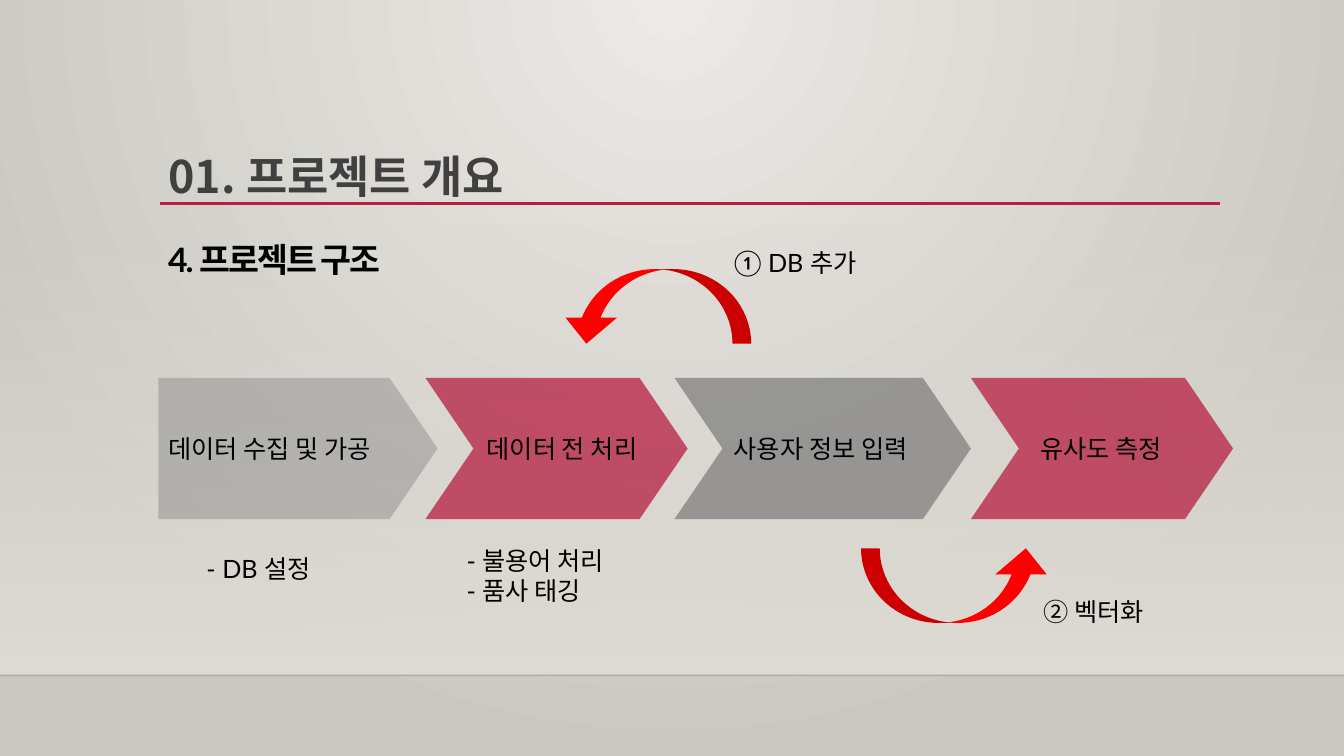
from lxml import etree
from pptx import Presentation
from pptx.dml.color import RGBColor
from pptx.enum import shapes, text
from pptx.oxml.ns import qn
from pptx.util import Pt

PX = 9144  # 100 px to the inch
BLACK, GREY, RED, CRIMSON = "000000", "808080", "FF0000", "B71E42"


def paint(color, value, element=None, opacity=100):
    """Set a colour; opacity (percent) goes to the first colour in element."""
    color.rgb = RGBColor.from_string(value)
    if opacity < 100:
        first = element.find(".//" + qn("a:srgbClr"))
        etree.SubElement(first, qn("a:alpha"), val=str(opacity * 1000))


def write(paragraph, content, size=18, font="Lato", color=BLACK, bold=False, spacing=0):
    run = paragraph.add_run()
    run.text = content
    run.font.size, run.font.name, run.font.bold = Pt(size), font, bold
    paint(run.font.color, color)
    properties = run.font._element
    etree.SubElement(properties, qn("a:ea"), typeface="Noto Sans CJK KR")
    if spacing:
        properties.set("spc", str(spacing))


presentation = Presentation()
presentation.slide_width, presentation.slide_height = 1333 * PX, 750 * PX
slide = presentation.slides.add_slide(presentation.slide_layouts[5])

# Background: light circle at the top centre
background = slide.background.fill
background.gradient()
for stop, position, color in zip(background.gradient_stops, (0, 1), ("ECEAE7", "CAC7C1")):
    stop.position = position
    paint(stop.color, color)
linear = slide._element.find(".//" + qn("p:bg") + "//" + qn("a:lin"))
circle = etree.Element(qn("a:path"), path="circle")
etree.SubElement(circle, qn("a:fillToRect"), l="43000", t="0", r="43000", b="100000")
linear.getparent().replace(linear, circle)

wall = slide.shapes.add_shape(shapes.MSO_SHAPE.RECTANGLE, 0, 221 * PX, 1333 * PX, 449 * PX)
wall.shadow.inherit = False
wall.line.fill.background()
wall.fill.gradient()
wall.fill.gradient_angle = 270
for stop, position, opacity in zip(wall.fill.gradient_stops, (0, 1), (0, 100)):
    stop.position = position
    paint(stop.color, "DFDBD5", wall._element, opacity)

for left, right, y, color, width, opacity in (
    (0, 1333, 670, "000001", 1, 20),
    (159, 1210, 202, CRIMSON, 2.5, 100),
):
    rule = slide.shapes.add_connector(
        shapes.MSO_CONNECTOR.STRAIGHT, left * PX, y * PX, right * PX, y * PX)
    rule.line.width = Pt(width)
    paint(rule.line.color, color, rule._element, opacity)
    etree.SubElement(rule._element.spPr, qn("a:effectLst"))

title = slide.shapes.title
title.left, title.top, title.width, title.height = 157 * PX, 148 * PX, 402 * PX, 54 * PX
frame = title.text_frame
frame.margin_top = frame.margin_bottom = 0
frame.vertical_anchor = text.MSO_ANCHOR.TOP
frame.auto_size = text.MSO_AUTO_SIZE.SHAPE_TO_FIT_TEXT
heading = frame.paragraphs[0]
heading.alignment = text.PP_ALIGN.LEFT
for content, font in (("01. ", "Noto Sans CJK KR"), ("프로젝트 개요", "Cabin")):
    write(heading, content, size=32, font=font, color="404040", bold=True)
slide.shapes._spTree.append(title._element)  # in front of the wall

# Process steps
PENTAGON, CHEVRON = shapes.MSO_SHAPE.PENTAGON, shapes.MSO_SHAPE.CHEVRON
for kind, left, width, color, opacity in (
    (PENTAGON, 157, 277, "8F8F8F", 50),
    (CHEVRON, 422, 260, CRIMSON, 75),
    (CHEVRON, 669, 294, GREY, 75),
    (CHEVRON, 963, 260, CRIMSON, 75),
):
    step = slide.shapes.add_shape(kind, left * PX, 375 * PX, width * PX, 140 * PX)
    step.adjustments[0] = 0.34
    step.shadow.inherit = False
    step.line.fill.background()
    step.fill.solid()
    paint(step.fill.fore_color, color, step._element, opacity)

for left, top, rotation in ((556, 267, 180), (854, 544, 0)):
    arrow = slide.shapes.add_shape(
        shapes.MSO_SHAPE.CURVED_UP_ARROW, left * PX, top * PX, 189 * PX, 74 * PX)
    for index, value in enumerate((0.25, 0.69, 0.35)):
        arrow.adjustments[index] = value
    arrow.rotation = rotation
    arrow.shadow.inherit = False
    arrow.line.fill.background()
    arrow.fill.solid()
    paint(arrow.fill.fore_color, RED)

subtitle = dict(size=24, bold=True, spacing=-150)
for left, top, width, height, lines, style in (
    (157, 232, 917, 50, ["4. 프로젝트 구조"], subtitle),
    (157, 425, 326, 40, ["데이터 수집 및 가공"], {}),
    (473, 425, 326, 40, ["데이터 전 처리"], {}),
    (718, 425, 326, 40, ["사용자 정보 입력"], {}),
    (1022, 425, 326, 40, ["유사도 측정"], {}),
    (195, 544, 326, 40, ["- DB 설정"], {}),
    (453, 536, 326, 71, ["- 불용어 처리", "- 품사 태깅"], {}),
    (718, 240, 326, 40, ["① DB 추가"], {}),
    (1025, 587, 326, 40, ["② 벡터화"], {}),
):
    box = slide.shapes.add_textbox(left * PX, top * PX, width * PX, height * PX)
    frame = box.text_frame
    frame.word_wrap = True
    frame.auto_size = text.MSO_AUTO_SIZE.SHAPE_TO_FIT_TEXT
    for index, line in enumerate(lines):
        paragraph = frame.add_paragraph() if index else frame.paragraphs[0]
        write(paragraph, line, **style)

presentation.save("out.pptx")
